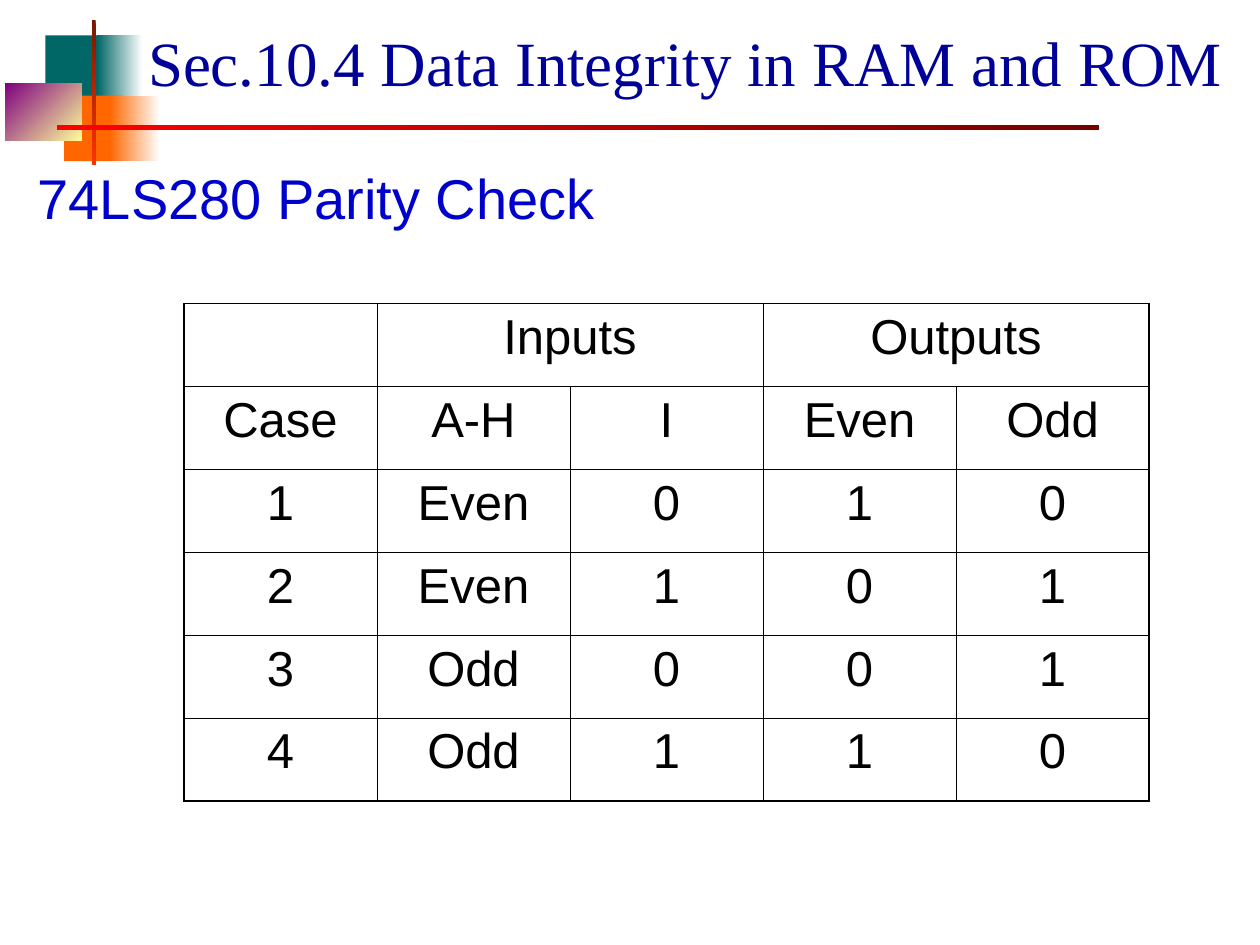
from lxml.etree import SubElement
from pptx import Presentation
from pptx.dml.color import RGBColor
from pptx.enum.shapes import MSO_SHAPE
from pptx.enum.text import MSO_ANCHOR, PP_ALIGN
from pptx.oxml.ns import qn
from pptx.util import Inches, Pt


def rgb(color):
    return RGBColor.from_string(color)


def add_run(p, text, size, font, color):
    r = p.add_run()
    r.text = text
    r.font.size = Pt(size)
    r.font.name = font
    r.font.color.rgb = rgb(color)


prs = Presentation()
prs.slide_width, prs.slide_height = Inches(10), Inches(7.5)
s = prs.slides.add_slide(prs.slide_layouts[6])

# Corner ornament: box, colours (one = solid, two = gradient), clockwise angle
ornament = [
    ((0.36, 0.28, 0.48, 0.52), ["006666"], 0),
    ((0.77, 0.28, 0.36, 0.52), ["FFFFFF", "006666"], 180),
    ((0.51, 0.76, 0.46, 0.52), ["FF6600"], 0),
    ((0.87, 0.76, 0.4, 0.52), ["FFFFFF", "FF6600"], 180),
    ((0.04, 0.66, 0.61, 0.46), ["FFFF99", "800080"], 225),
    ((0.73, 0.16, 0.03, 1.15), ["761800", "FF3300"], 90),
    ((0.45, 0.99, 8.27, 0.04), ["FF0000", "760000"], 0),
]
group = s.shapes.add_group_shape()
for box, colors, angle in ornament:
    sp = group.shapes.add_shape(MSO_SHAPE.RECTANGLE, *map(Inches, box))
    sp.shadow.inherit = False
    sp.line.fill.background()
    if len(colors) == 1:
        sp.fill.solid()
        sp.fill.fore_color.rgb = rgb(colors[0])
    else:
        sp.fill.gradient()
        sp.fill.gradient_angle = (360 - angle) % 360
        for stop, color in zip(sp.fill.gradient_stops, colors):
            stop.color.rgb = rgb(color)

# Title and subtitle
headings = [
    ((0.43, 0.21, 9.37, 0.55), MSO_ANCHOR.MIDDLE, PP_ALIGN.RIGHT, 1.0,
     "Sec.10.4 Data Integrity in RAM and ROM", 36, "Times New Roman", "000099"),
    ((0.2, 1.31, 8.51, 0.47), MSO_ANCHOR.TOP, PP_ALIGN.LEFT, 0.9,
     "74LS280 Parity Check", 32, "Arial", "0000CC"),
]
for box, anchor, align, spacing, text, size, font, color in headings:
    tf = s.shapes.add_textbox(*map(Inches, box)).text_frame
    tf.word_wrap = True
    tf.vertical_anchor = anchor
    p = tf.paragraphs[0]
    p.alignment = align
    p.line_spacing = spacing
    add_run(p, text, size, font, color)

# Parity table
rows = [
    ["", "Inputs", "", "Outputs", ""],
    ["Case", "A-H", "I", "Even", "Odd"],
    ["1", "Even", "0", "1", "0"],
    ["2", "Even", "1", "0", "1"],
    ["3", "Odd", "0", "0", "1"],
    ["4", "Odd", "1", "1", "0"],
]
n_rows, n_cols = len(rows), len(rows[0])
table = s.shapes.add_table(n_rows, n_cols, Inches(1.46), Inches(2.41),
                           Inches(7.66), Inches(3.95)).table
table.first_row = table.horz_banding = False
for c in (1, 3):
    table.cell(0, c).merge(table.cell(0, c + 1))

for i, row in enumerate(rows):
    for j, text in enumerate(row):
        cell = table.cell(i, j)
        outer = {"a:lnL": j == 0, "a:lnR": j + cell.span_width == n_cols,
                 "a:lnT": i == 0, "a:lnB": i == n_rows - 1}
        tcPr = cell._tc.get_or_add_tcPr()
        for tag, is_outer in outer.items():
            ln = SubElement(tcPr, qn(tag), w=str(Pt(1.08 if is_outer else 0.45)))
            fill = SubElement(ln, qn("a:solidFill"))
            SubElement(fill, qn("a:srgbClr"), val="000000")
        cell.fill.background()
        if text:
            p = cell.text_frame.paragraphs[0]
            p.alignment = PP_ALIGN.CENTER
            add_run(p, text, 28, "Arial", "000000")

prs.save("out.pptx")
